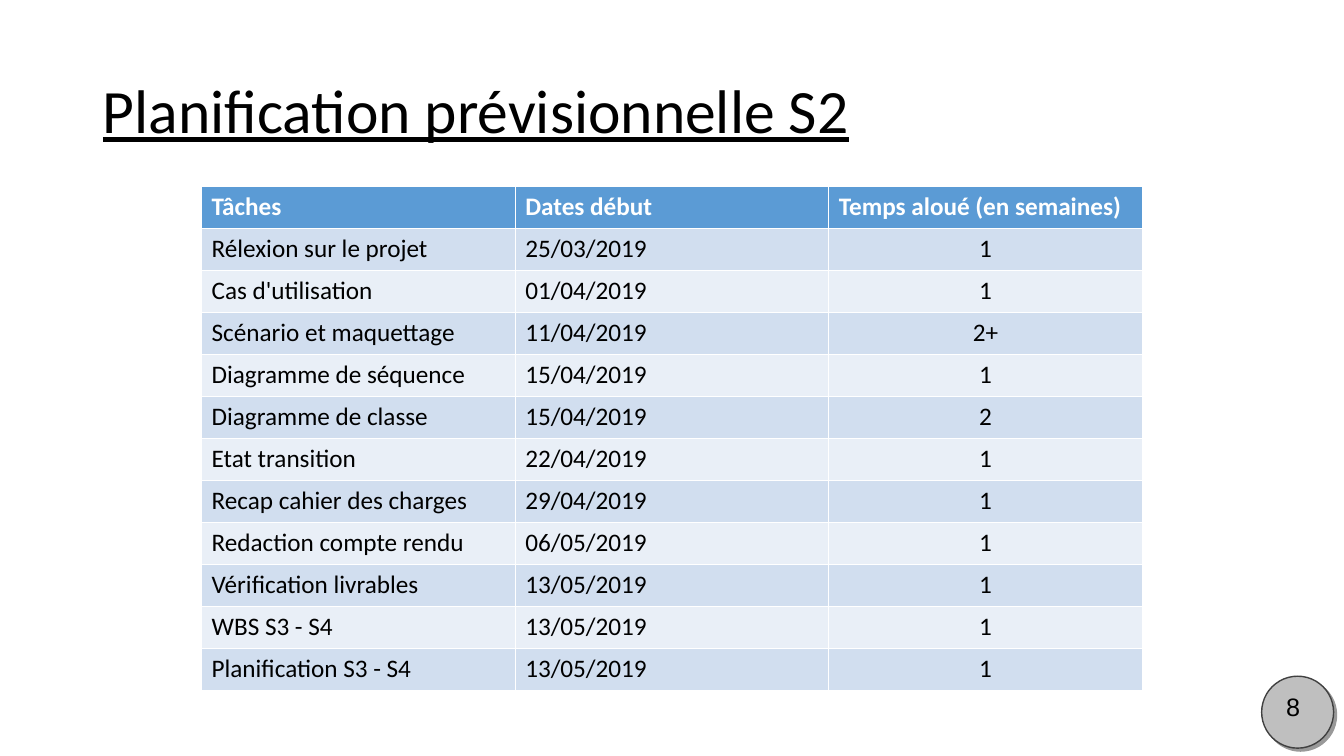
from dataclasses import dataclass

from lxml import etree
from pptx import Presentation
from pptx.dml.color import RGBColor
from pptx.enum.shapes import MSO_SHAPE
from pptx.enum.text import MSO_ANCHOR, MSO_AUTO_SIZE, PP_ALIGN
from pptx.oxml.ns import qn
from pptx.util import Pt

OVAL = MSO_SHAPE.OVAL
MIDDLE = MSO_ANCHOR.MIDDLE
TOP = MSO_ANCHOR.TOP
FIXED = MSO_AUTO_SIZE.NONE
LEFT = PP_ALIGN.LEFT
CENTER = PP_ALIGN.CENTER

BLACK = RGBColor(0x00, 0x00, 0x00)
WHITE = RGBColor(0xFF, 0xFF, 0xFF)
BLUE = RGBColor(0x5B, 0x9B, 0xD5)
BANDS = (RGBColor(0xD1, 0xDE, 0xEF), RGBColor(0xE9, 0xEF, 0xF7))
GREY = RGBColor(0xBF, 0xBF, 0xBF)
DARK = RGBColor(0x40, 0x40, 0x40)

COL_WIDTH = 224
ROW_HEIGHT = 30


@dataclass
class Task:
    name: str
    start: str
    weeks: str


HEAD = Task("Tâches", "Dates début", "Temps aloué (en semaines)")
TASKS = [
    Task("Rélexion sur le projet", "25/03/2019", "1"),
    Task("Cas d'utilisation", "01/04/2019", "1"),
    Task("Scénario et maquettage", "11/04/2019", "2+"),
    Task("Diagramme de séquence", "15/04/2019", "1"),
    Task("Diagramme de classe", "15/04/2019", "2"),
    Task("Etat transition", "22/04/2019", "1"),
    Task("Recap cahier des charges", "29/04/2019", "1"),
    Task("Redaction compte rendu", "06/05/2019", "1"),
    Task("Vérification livrables", "13/05/2019", "1"),
    Task("WBS S3 - S4", "13/05/2019", "1"),
    Task("Planification S3 - S4", "13/05/2019", "1"),
]


def add_text(frame, text: str, size: float, color: RGBColor = BLACK,
             face: str = "Calibri", bold: bool = False, align=LEFT):
    para = frame.paragraphs[0]
    para.alignment = align
    run = para.add_run()
    run.text = text
    font = run.font
    font.name = face
    font.size = Pt(size)
    font.bold = bold
    font.color.rgb = color
    return run


def add_title(slide, text: str) -> None:
    title = slide.shapes.title
    title.left, title.top = Pt(66.24), Pt(28.8)
    title.width, title.height = Pt(828), Pt(104.4)
    frame = title.text_frame
    frame.auto_size = FIXED
    frame.word_wrap = True
    frame.vertical_anchor = MIDDLE
    add_text(frame, text, 44).font.underline = True
    frame.paragraphs[0].line_spacing = 0.9


def add_edges(cell) -> None:
    props = cell._tc.get_or_add_tcPr()
    for spot, side in enumerate(("a:lnL", "a:lnR", "a:lnT", "a:lnB")):
        edge = etree.Element(qn(side), w=str(Pt(0.96)))
        fill = etree.SubElement(edge, qn("a:solidFill"))
        etree.SubElement(fill, qn("a:srgbClr"), val=str(WHITE))
        props.insert(spot, edge)


def add_row(table, index: int, task: Task) -> None:
    head = index == 0
    table.rows[index].height = Pt(ROW_HEIGHT)
    for col, text in enumerate((task.name, task.start, task.weeks)):
        cell = table.cell(index, col)
        cell.fill.solid()
        cell.fill.fore_color.rgb = BLUE if head else BANDS[(index - 1) % 2]
        add_edges(cell)
        add_text(cell.text_frame, text, 18, WHITE if head else BLACK, bold=head,
                 align=CENTER if col == 2 and not head else LEFT)


def add_plan(slide, tasks: list[Task]) -> None:
    rows = [HEAD, *tasks]
    table = slide.shapes.add_table(len(rows), 3, Pt(144), Pt(133.2), Pt(3 * COL_WIDTH),
                                   Pt(len(rows) * ROW_HEIGHT)).table
    for column in table.columns:
        column.width = Pt(COL_WIDTH)
    for index, task in enumerate(rows):
        add_row(table, index, task)


def add_shadow(shape) -> None:
    shape.shadow.inherit = False
    effects = shape._element.spPr.find(qn("a:effectLst"))
    shadow = etree.SubElement(effects, qn("a:outerShdw"), blurRad="0", dist=str(Pt(3)),
                              dir="2700000", algn="tl", rotWithShape="0")
    color = etree.SubElement(shadow, qn("a:srgbClr"), val=str(BLACK))
    etree.SubElement(color, qn("a:alpha"), val="40000")


def add_badge(slide, number: str) -> None:
    disc = slide.shapes.add_shape(OVAL, Pt(901.2), Pt(483), Pt(51.4), Pt(51.4))
    disc.fill.solid()
    disc.fill.fore_color.rgb = GREY
    disc.line.color.rgb = DARK
    disc.line.width = Pt(1)
    add_shadow(disc)
    box = slide.shapes.add_textbox(Pt(911.5), Pt(490.3), Pt(40), Pt(33.8))
    box.text_frame.word_wrap = True
    box.text_frame.vertical_anchor = TOP
    add_text(box.text_frame, number, 18, face="Arial")


def main() -> None:
    deck = Presentation()
    deck.slide_width, deck.slide_height = Pt(960), Pt(540)
    slide = deck.slides.add_slide(deck.slide_layouts[5])
    add_badge(slide, "8")
    add_title(slide, "Planification prévisionnelle S2")
    add_plan(slide, TASKS)
    deck.save("out.pptx")


if __name__ == "__main__":
    main()
